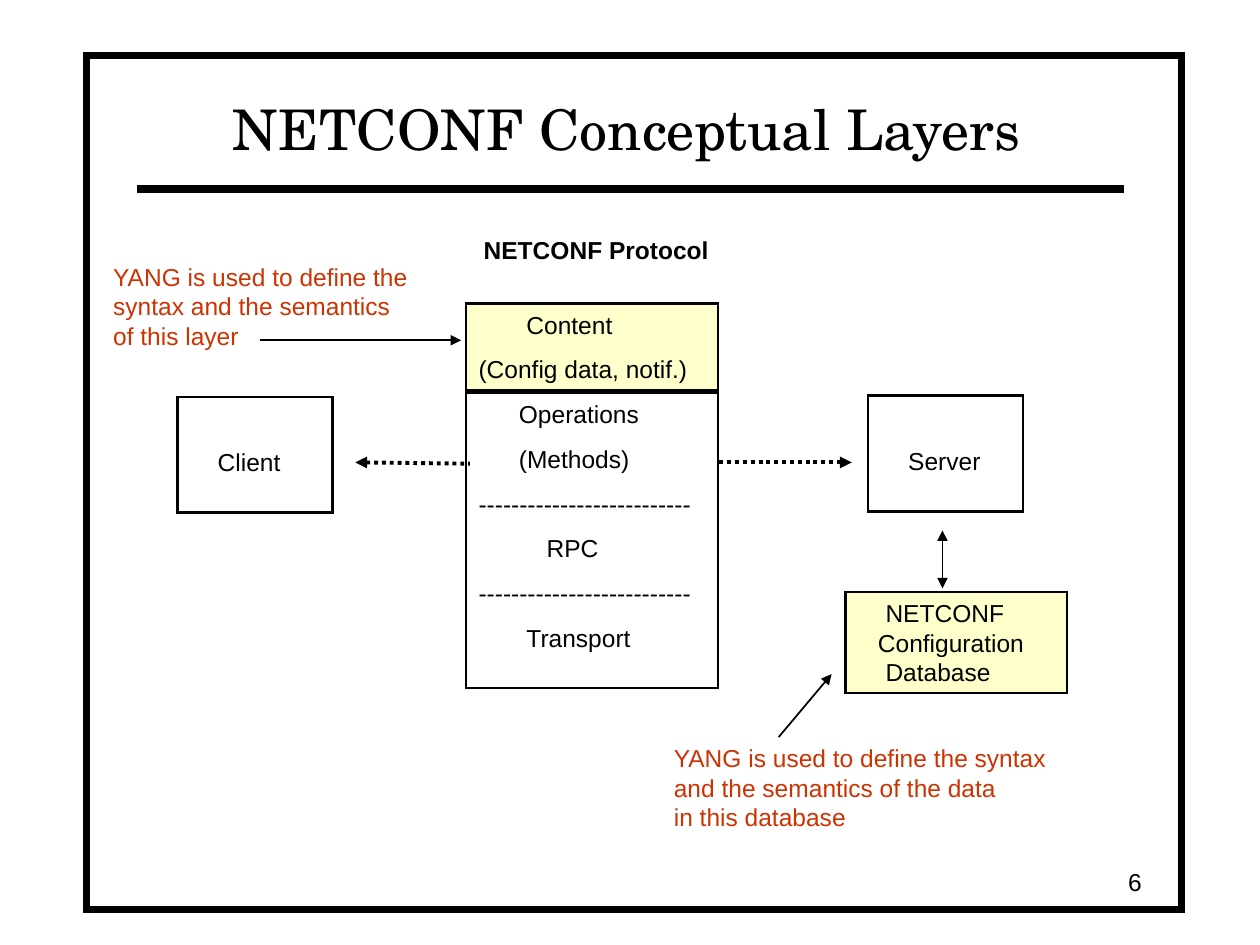
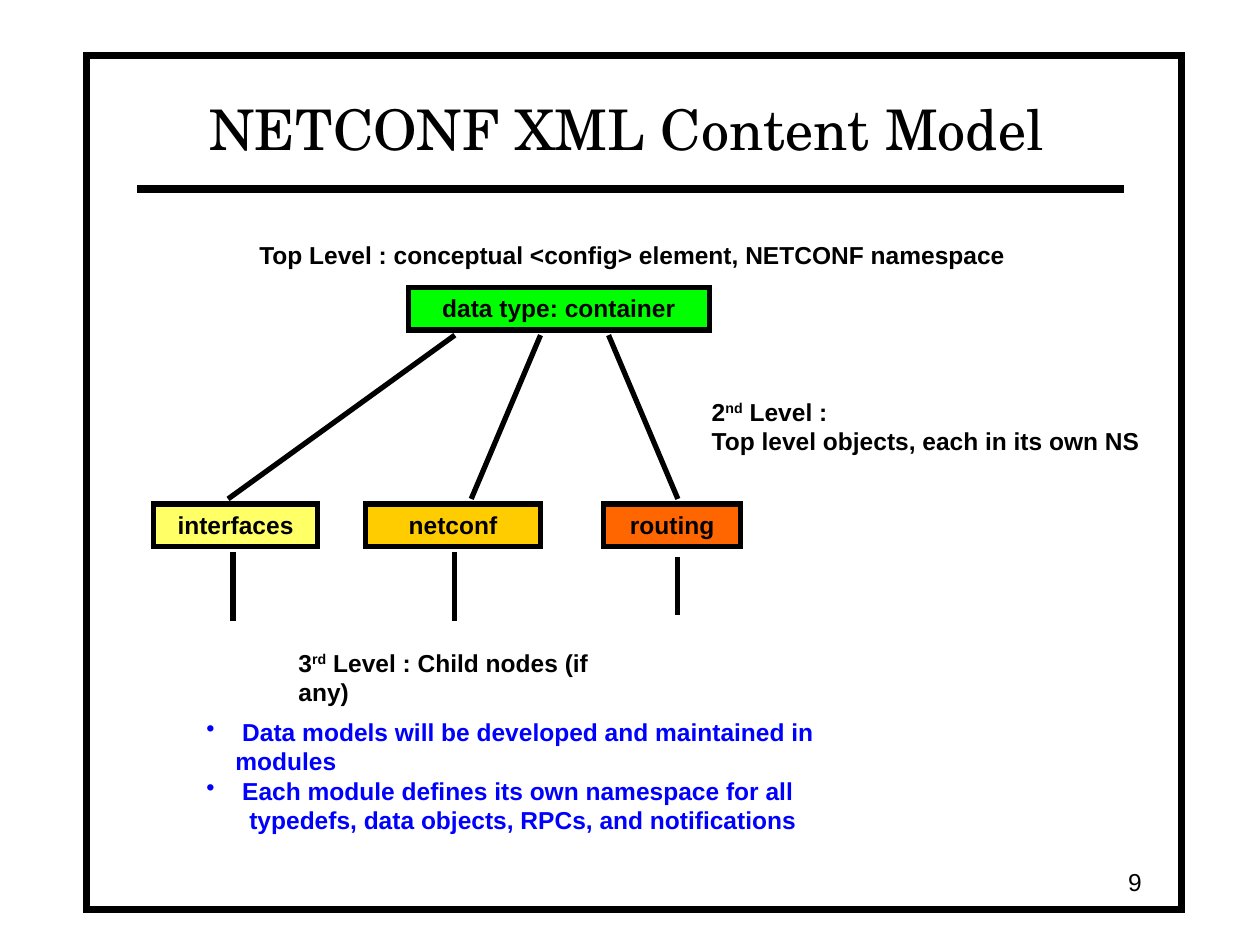
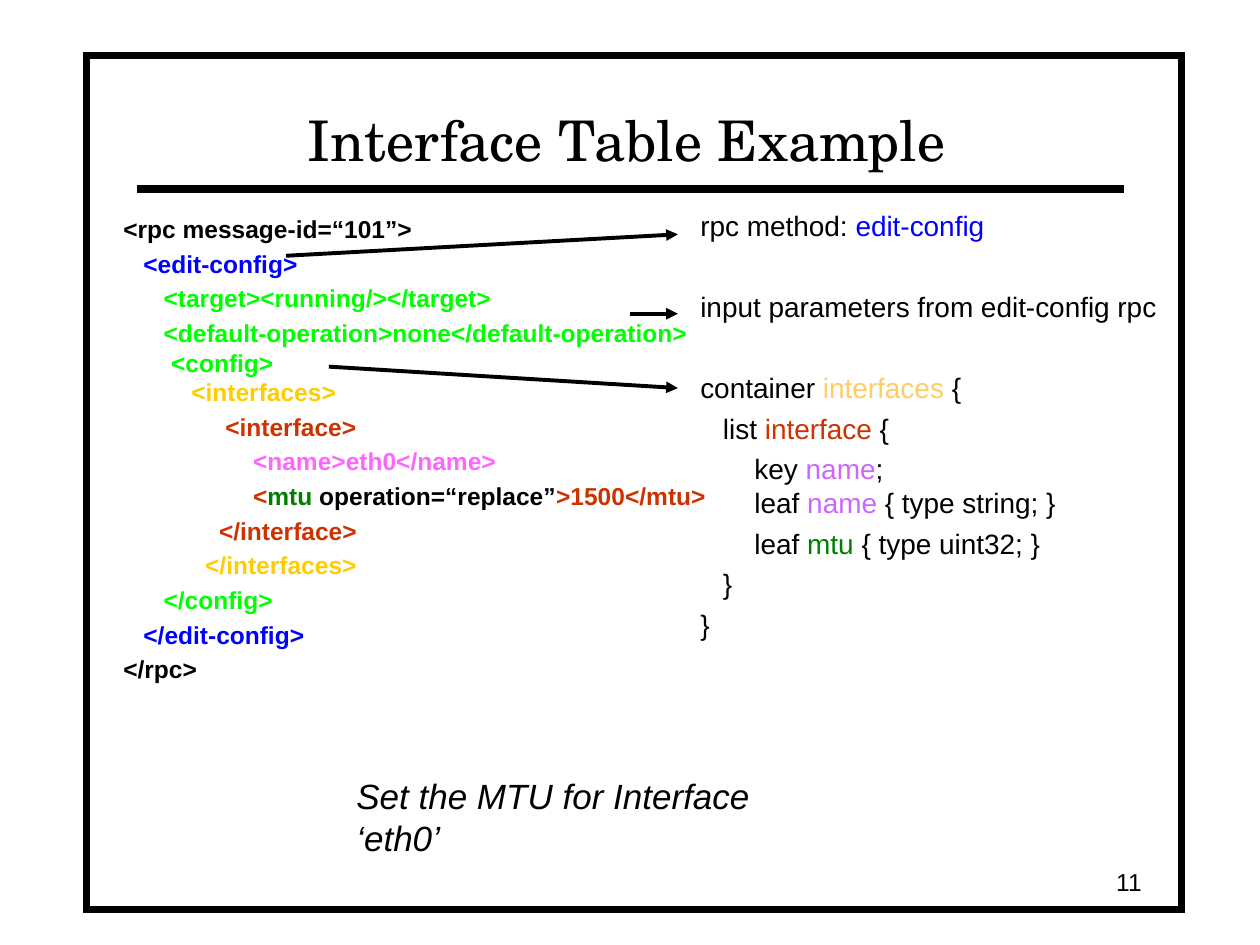
from dataclasses import dataclass

from lxml.etree import SubElement
from pptx import Presentation
from pptx.dml.color import RGBColor as RGB
from pptx.enum.dml import MSO_LINE as DASH
from pptx.enum.shapes import MSO_CONNECTOR as CONN, MSO_SHAPE as SHAPE
from pptx.enum.text import MSO_ANCHOR as ANCHOR, MSO_AUTO_SIZE as FIT, PP_ALIGN as ALIGN
from pptx.oxml.ns import qn
from pptx.util import Inches, Pt

COLS, ROWS = 100, 75


@dataclass(frozen=True)
class Theme:
    font: str = "Arial"
    title_font: str = "TeX Gyre Schola"
    title: int = 32
    caption: int = 20
    code: int = 16
    body: int = 14
    ink: str = "000000"
    paper: str = "FFFFFF"
    cream: str = "FFFFCC"
    rust: str = "CC3300"
    blue: str = "0000FF"
    lime: str = "00FF00"
    lemon: str = "FFFF66"
    gold: str = "FFCC00"
    peach: str = "FFCC66"
    orange: str = "FF6600"
    pink: str = "FF66FF"
    violet: str = "CC66FF"
    green: str = "008000"


T = Theme()


@dataclass
class Para:
    """Runs are strings or (string, format) pairs; indent is in columns, before in points."""
    runs: list
    indent: float = 0
    before: float = 0
    bullet: bool = False


def ink(color):
    return {"color": color}


def paras(*lines, **options):
    return [Para([line], **options) for line in lines]


def write(p, text, size=T.body, color=T.ink, font=T.font, bold=False, italic=False, raised=0):
    """Add one run; raised is the superscript offset in percent."""
    r = p.add_run()
    r.text = text
    f = r.font
    f.size, f.name, f.bold, f.italic = Pt(size), font, bold, italic
    f.color.rgb = RGB.from_string(color)
    if raised:
        r._r.get_or_add_rPr().set("baseline", str(raised * 1000))


class Deck:
    """Holds the presentation and current slide; lengths are in grid columns and rows."""

    def __init__(self):
        self.prs = Presentation()
        self.prs.slide_width, self.prs.slide_height = Inches(10), Inches(7.5)
        self.s = None

    def x(self, cols):
        return round(self.prs.slide_width * cols / COLS)

    def y(self, rows):
        return round(self.prs.slide_height * rows / ROWS)

    def area(self, left, top, width, height):
        return self.x(left), self.y(top), self.x(width), self.y(height)

    def slide(self, title, number, title_area=(10.8, 5.8, 77.9, 7.5)):
        self.s = self.prs.slides.add_slide(self.prs.slide_layouts[6])
        self.box((6.9, 4.4, 86.9, 67.8), fill=T.paper, weight=4)
        self.line((10.9, 15), (89.2, 15), weight=4.5)
        self.text(title_area, paras(title), align=ALIGN.CENTER, anchor=ANCHOR.BOTTOM,
                  size=T.title, font=T.title_font)
        self.text((70.8, 68.3, 20.8, 3.3), paras(str(number)), align=ALIGN.RIGHT,
                  anchor=ANCHOR.MIDDLE)

    def fill_text(self, tf, content, align=ALIGN.LEFT, anchor=ANCHOR.TOP, top=0.5, **style):
        tf.vertical_anchor = anchor
        tf.margin_left = tf.margin_right = self.x(1)
        tf.margin_top, tf.margin_bottom = self.y(top), self.y(0.5)
        for i, para in enumerate(content):
            p = tf.add_paragraph() if i else tf.paragraphs[0]
            p.alignment, p.space_before = align, Pt(para.before if i else 0)
            pPr = p._p.get_or_add_pPr()
            pPr.set("marL", str(self.x(para.indent)))
            pPr.set("indent", str(-self.x(para.indent) if para.bullet else 0))
            if para.bullet:
                SubElement(pPr, qn("a:buChar"), char="•")
            for run in para.runs:
                words, extra = (run, {}) if isinstance(run, str) else run
                write(p, words, **{**style, **extra})

    def text(self, area, content, wrap=True, **style):
        tf = self.s.shapes.add_textbox(*self.area(*area)).text_frame
        tf.word_wrap = wrap
        tf.auto_size = FIT.NONE if wrap else FIT.SHAPE_TO_FIT_TEXT
        self.fill_text(tf, content, **style)

    def label(self, area, *lines, **style):
        self.text(area, paras(*lines), wrap=False, **style)

    def box(self, area, content=(), fill=None, weight=1.5, **style):
        sp = self.s.shapes.add_shape(SHAPE.RECTANGLE, *self.area(*area))
        sp.shadow.inherit = False
        if fill:
            sp.fill.solid()
            sp.fill.fore_color.rgb = RGB.from_string(fill)
        else:
            sp.fill.background()
        sp.line.color.rgb, sp.line.width = RGB.from_string(T.ink), Pt(weight)
        SubElement(sp.line._get_or_add_ln(), qn("a:miter"), lim="800000")
        sp.text_frame.word_wrap = True
        self.fill_text(sp.text_frame, content, **style)

    def line(self, start, end, weight=1, dash=None, arrows=()):
        """Draw a straight line; arrows names the ends with heads (headEnd, tailEnd)."""
        c = self.s.shapes.add_connector(CONN.STRAIGHT, self.x(start[0]), self.y(start[1]),
                                        self.x(end[0]), self.y(end[1]))
        c.line.color.rgb, c.line.width = RGB.from_string(T.ink), Pt(weight)
        if dash:
            c.line.dash_style = dash
        for end_name in arrows:
            SubElement(c.line._get_or_add_ln(), qn(f"a:{end_name}"), type="triangle")
        SubElement(c._element.spPr, qn("a:effectLst"))


HEAD, TAIL = "headEnd", "tailEnd"


def layers_slide(d):
    d.slide("NETCONF Conceptual Layers", 6)
    for name, left, top in (("Client", 14.1, 31.5), ("Server", 68.9, 31.4)):
        d.box((left, top, 12.3, 9.2), paras(name, indent=2.2), top=4)

    rule = "-" * 26
    layers = (("Operations", 3.2), ("(Methods)", 3.2), (rule, 0), ("RPC", 5.4), (rule, 0),
              ("Transport", 3.8))
    content = (("Content", 3.8), ("(Config data, notif.)", 0))
    for top, height, rows, fill in ((31.2, 23.4, layers, None), (24.1, 6.9, content, T.cream)):
        d.box((37, top, 20, height),
              [Para([name], indent, 8.7) for name, indent in rows], fill=fill)
    d.box((67.1, 47, 17.6, 8),
          [Para(["NETCONF"], 2.2), Para(["Configuration"], 1.6), Para(["Database"], 2.2)],
          fill=T.cream)

    d.label((37.4, 18.2, 19.9, 3.4), "NETCONF Protocol", bold=True)
    d.label((8, 20.3, 25.5, 8), "YANG is used to define the", "syntax and the semantics",
            "of this layer", color=T.rust)
    d.label((52.5, 58.5, 31.7, 8), "YANG is used to define the syntax",
            "and the semantics of the data", "in this database", color=T.rust)

    d.line((28.2, 36.7), (37.3, 36.8), 2.25, DASH.ROUND_DOT, [HEAD])
    d.line((57.1, 36.7), (67.6, 36.7), 2.25, DASH.ROUND_DOT, [TAIL])
    d.line((74.8, 42.1), (74.8, 46.7), arrows=[HEAD, TAIL])
    d.line((61.8, 58.5), (66, 53.5), arrows=[TAIL])
    d.line((20.6, 27), (36.6, 27), arrows=[TAIL])


def model_slide(d):
    d.slide("NETCONF XML Content Model", 9)
    for name, left, top, width, fill in (("data type: container", 32.4, 22.8, 23.9, T.lime),
                                         ("interfaces", 12.2, 40, 13, T.lemon),
                                         ("netconf", 29, 40, 13.9, T.gold),
                                         ("routing", 47.9, 40, 10.9, T.orange)):
        d.box((left, top, width, 3.4), paras(name), fill=fill, weight=3,
              align=ALIGN.CENTER, bold=True)
    for root, child in ((36.1, 18.1), (42.9, 37.4), (48.3, 53.8)):
        d.line((root, 26.6), (child, 39.6), 3)
    for stem, top, bottom in ((18.5, 43.8, 49.3), (36.1, 43.8, 49.3), (53.8, 44.2, 48.8)):
        d.line((stem, top), (stem, bottom), 3)

    up = {"raised": 30}
    d.label((19.6, 18.6, 61.4, 3.4),
            "Top Level : conceptual <config> element, NETCONF namespace", bold=True)
    d.text((55.5, 31, 36.1, 5.7),
           [Para(["2", ("nd", up), " Level :"]), Para(["Top level objects, each in its own NS"])],
           wrap=False, bold=True)
    d.text((22.7, 50.9, 29.5, 3.4),
           [Para(["3", ("rd", up), " Level : Child nodes (if any)"])], wrap=False, bold=True)
    d.text((15.4, 56.4, 57.2, 8),
           [Para([" Data models will be developed and maintained in modules"], 2.3, bullet=True),
            Para([" Each module defines its own namespace for all"], 2.3, bullet=True),
            Para(["typedefs, data objects, RPCs, and notifications"], 3.4)],
           color=T.blue, bold=True)


def example_slide(d):
    d.slide("Interface Table Example", 11, (10.8, 5, 77.9, 9.2))
    yang = ((0, 0, ["rpc method: ", ("edit-config", ink(T.blue))]),
            (0, 27, ["input parameters from edit-config rpc"]),
            (0, 27, ["container ", ("interfaces", ink(T.peach)), " {"]),
            (1.8, 4, ["list ", ("interface", ink(T.rust)), " {"]),
            (4.3, 4, ["key ", ("name", ink(T.violet)), ";"]),
            (4.3, 0, ["leaf ", ("name", ink(T.violet)), " { type string; }"]),
            (4.3, 4, ["leaf ", ("mtu", ink(T.green)), " { type uint32; }"]),
            (1.8, 4, ["}"]),
            (0, 4, ["}"]))
    d.text((54.6, 16.1, 39, 51.7),
           [Para(runs, indent, before) for indent, before, runs in yang], size=T.code)

    xml = ((0, 3, T.ink, "<rpc message-id=“101”>"),
           (1.6, 3, T.blue, "<edit-config>"),
           (3.2, 3, T.lime, "<target><running/></target>"),
           (3.2, 3, T.lime, "<default-operation>none</default-operation>"),
           (3.8, 0, T.lime, "<config>"),
           (5.4, 0, T.gold, "<interfaces>"),
           (8.1, 3, T.rust, "<interface>"),
           (10.3, 3, T.pink, "<name>eth0</name>"),
           (10.3, 3, T.rust, "<", ("mtu ", ink(T.green)), ("operation=“replace”", ink(T.ink)),
            (">1500</mtu>", ink(T.rust))),
           (7.6, 3, T.rust, "</interface>"),
           (6.5, 3, T.gold, "</interfaces>"),
           (3.2, 3, T.lime, "</config>"),
           (1.6, 3, T.blue, "</edit-config>"),
           (0, 3, T.ink, "</rpc>"))
    d.text((8.8, 16.5, 50.8, 47.5),
           [Para([(first, ink(color)), *rest], indent, before)
            for indent, before, color, first, *rest in xml], bold=True)

    for start, end_row in (((22.7, 20.3), 18.6), ((50, 24.9), 24.9), ((26.1, 29.1), 30.8)):
        d.line(start, (53.8, end_row), 2.25, arrows=[TAIL])
    d.label((27.3, 61, 40.6, 4.4), "Set the MTU for Interface ‘eth0’", size=T.caption, italic=True)


def main():
    d = Deck()
    for build in (layers_slide, model_slide, example_slide):
        build(d)
    d.prs.save("out.pptx")


if __name__ == "__main__":
    main()
